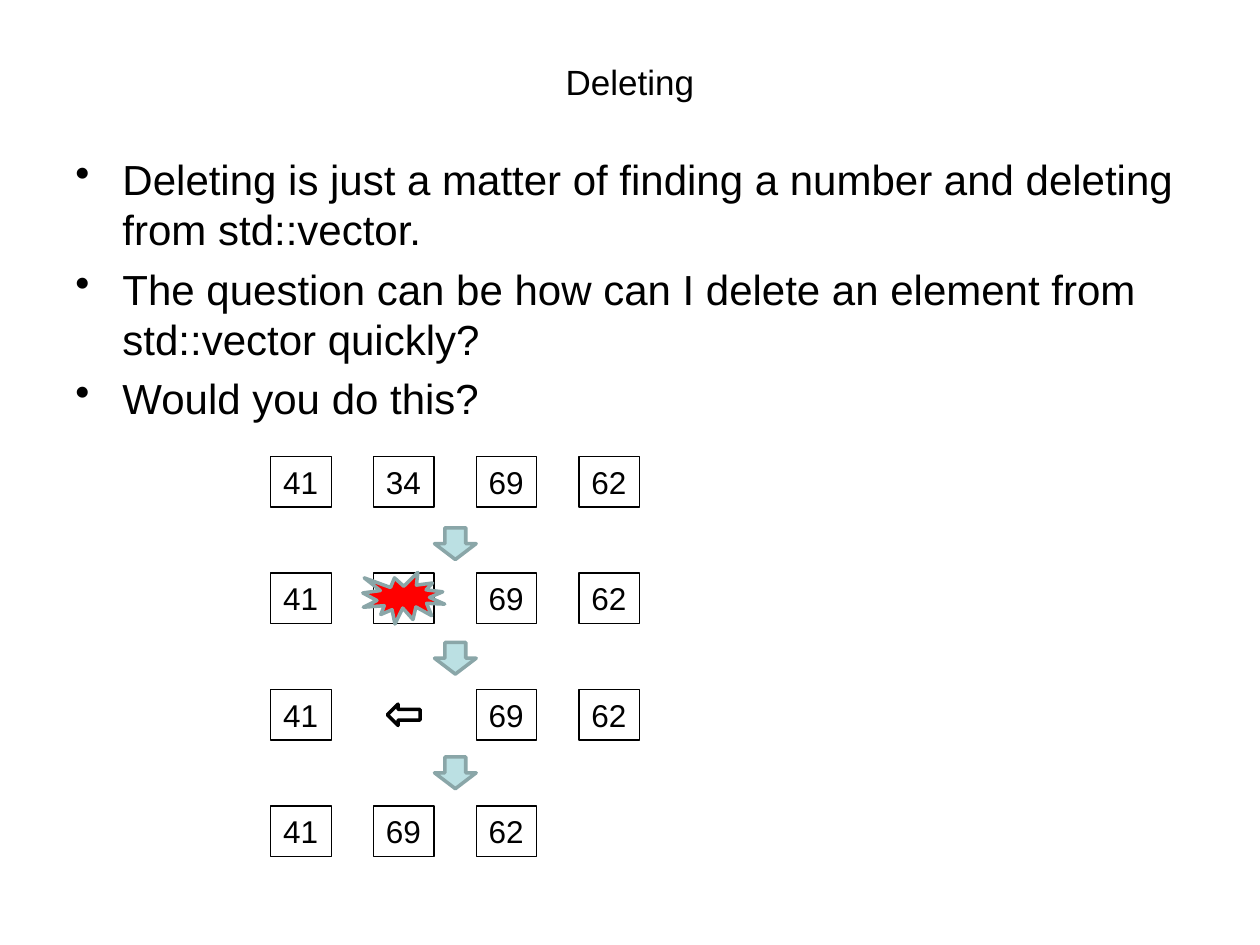
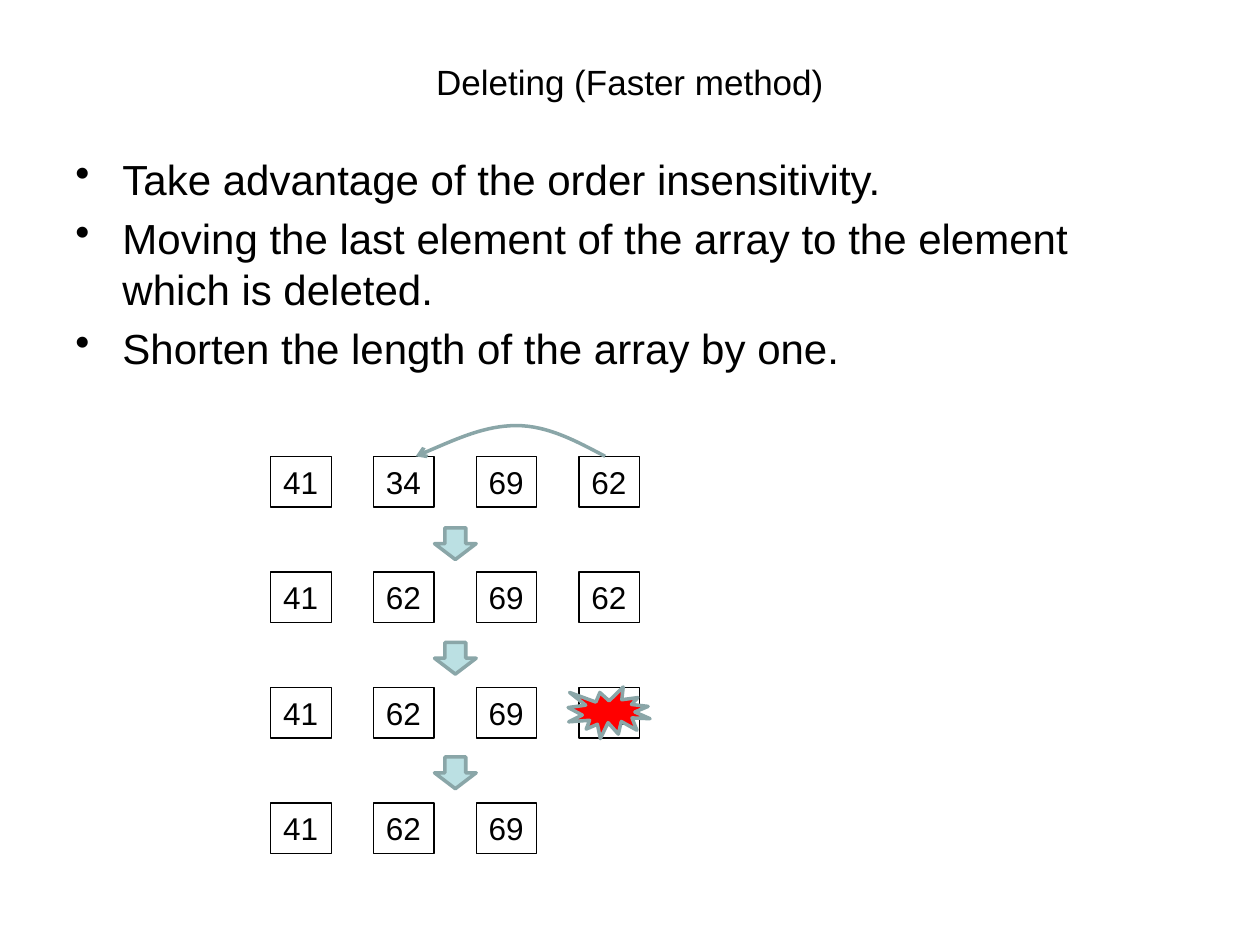
from lxml.etree import SubElement
from pptx import Presentation
from pptx.dml.color import RGBColor
from pptx.enum.shapes import MSO_SHAPE
from pptx.enum.text import MSO_ANCHOR, MSO_AUTO_SIZE, PP_ALIGN
from pptx.oxml.ns import qn
from pptx.util import Cm, Pt

FONT = "Arial"
BLACK, RED, PALE_BLUE, GREY_BLUE = "000000", "FF0000", "BBE0E3", "8AA6A8"

# All lengths are centimetres; boxes are left, top, width, height.
SLIDE_SIZE = (25.4, 19.05)
TITLE_BOX = (1.27, 0.76, 22.86, 1.78)
BODY_BOX = (1.27, 2.97, 22.86, 14.05)
BULLET_INDENT = 0.95
CELL_LEFT, CELL_TOP, CELL_STEP = 5.46, 9.2, 2.07
CELL_SIZE = (1.22, 1.02)
BURST_SIZE = (1.65, 1.04)
SHIFT_SIZE = (0.66, 0.43)
STEP_LEFT, STEP_TOP, STEP_PITCH = 8.76, 10.64, 2.31
STEP_SIZE = (0.84, 0.64)

# Start point, then two Bezier segments of three points each.
MOVE_CURVE = [(12.2, 9.2),
              (11.63, 8.9), (11.05, 8.58), (10.41, 8.58),
              (9.78, 8.58), (9.09, 8.9), (8.38, 9.2)]

# "deleted" and "shifted" are (row, column) positions in the array rows.
SLIDES = [
    {"title": "Deleting",
     "bullets": [
         "Deleting is just a matter of finding a number and deleting from std::vector.",
         "The question can be how can I delete an element from std::vector quickly?",
         "Would you do this?"],
     "rows": [(41, 34, 69, 62), (41, 34, 69, 62), (41, None, 69, 62), (41, 69, 62)],
     "row_pitch": 2.35, "deleted": (1, 1), "shifted": (2, 1), "curve": None},
    {"title": "Deleting (Faster method)",
     "bullets": [
         "Take advantage of the order insensitivity.",
         "Moving the last element of the array to the element which is deleted.",
         "Shorten the length of the array by one."],
     "rows": [(41, 34, 69, 62), (41, 62, 69, 62), (41, 62, 69, 62), (41, 62, 69)],
     "row_pitch": 2.33, "deleted": (2, 3), "shifted": None, "curve": MOVE_CURVE},
]


def rgb(color):
    """Turn a hex string into a colour."""
    return RGBColor.from_string(color)


def lengths(values):
    """Turn centimetre numbers into lengths."""
    return [Cm(value) for value in values]


def style_font(paragraph, size):
    """Give a paragraph the shared font in black."""
    paragraph.font.name = FONT
    paragraph.font.size = Pt(size)
    paragraph.font.color.rgb = rgb(BLACK)


def style_shape(shape, fill, line, width):
    """Set fill (None for empty) and outline, without shadow."""
    shape.shadow.inherit = False
    if fill:
        shape.fill.solid()
        shape.fill.fore_color.rgb = rgb(fill)
    else:
        shape.fill.background()
    shape.line.color.rgb = rgb(line)
    shape.line.width = Pt(width)


def add_preset(slide, kind, box, fill=None, line=BLACK, width=2):
    """Add a styled preset shape."""
    shape = slide.shapes.add_shape(kind, *lengths(box))
    style_shape(shape, fill, line, width)
    return shape


def add_title(slide, text):
    """Place and fill the title placeholder."""
    title = slide.shapes.title
    title.left, title.top, title.width, title.height = lengths(TITLE_BOX)
    title.text_frame.vertical_anchor = MSO_ANCHOR.MIDDLE
    title.text_frame.text = text
    paragraph = title.text_frame.paragraphs[0]
    paragraph.alignment = PP_ALIGN.CENTER
    style_font(paragraph, 20)


def add_bullets(slide, bullets):
    """Add the bulleted body text."""
    frame = slide.shapes.add_textbox(*lengths(BODY_BOX)).text_frame
    frame.word_wrap = True
    for index, text in enumerate(bullets):
        paragraph = frame.add_paragraph() if index else frame.paragraphs[0]
        paragraph.text = text
        paragraph.space_before = Pt(5)
        style_font(paragraph, 24)
        properties = paragraph._p.get_or_add_pPr()
        properties.set("marL", str(Cm(BULLET_INDENT)))
        properties.set("indent", str(-Cm(BULLET_INDENT)))
        bullet = properties.makeelement(qn("a:buChar"), {"char": "\u2022"})
        properties.find(qn("a:spcBef")).addnext(bullet)


def cell_box(row, column, pitch, size=CELL_SIZE):
    """Return a box of the given size centred on an array cell."""
    left = CELL_LEFT + column * CELL_STEP + (CELL_SIZE[0] - size[0]) / 2
    top = CELL_TOP + row * pitch + (CELL_SIZE[1] - size[1]) / 2
    return (left, top, *size)


def add_cell(slide, box, number):
    """Add one outlined array cell."""
    cell = add_preset(slide, MSO_SHAPE.RECTANGLE, box, width=0.75)
    frame = cell.text_frame
    frame.word_wrap = False
    frame.auto_size = MSO_AUTO_SIZE.SHAPE_TO_FIT_TEXT
    frame.vertical_anchor = MSO_ANCHOR.TOP
    paragraph = frame.paragraphs[0]
    paragraph.text = str(number)
    paragraph.alignment = PP_ALIGN.LEFT
    style_font(paragraph, 18)


def add_curve(slide, points):
    """Draw a Bezier arrow through the given start and control points."""
    start, *controls = [lengths(point) for point in points]
    builder = slide.shapes.build_freeform(*start)
    builder.add_line_segments(controls, close=False)
    curve = builder.convert_to_shape()
    style_shape(curve, None, GREY_BLUE, 2)
    outline = curve._element.xpath(".//a:path")[0]
    corners = outline.findall(qn("a:lnTo"))
    for first in range(0, len(corners), 3):
        segment = SubElement(outline, qn("a:cubicBezTo"))
        for corner in corners[first:first + 3]:
            segment.append(corner[0])
            outline.remove(corner)
    SubElement(curve.line._get_or_add_ln(), qn("a:tailEnd"), type="arrow")


def add_array_steps(slide, content):
    """Draw the array after each step, with its marks and step arrows."""
    rows, pitch = content["rows"], content["row_pitch"]
    for row, numbers in enumerate(rows):
        for column, number in enumerate(numbers):
            if number is not None:
                add_cell(slide, cell_box(row, column, pitch), number)
    add_preset(slide, MSO_SHAPE.EXPLOSION1,
               cell_box(*content["deleted"], pitch, BURST_SIZE), RED, GREY_BLUE)
    if content["shifted"]:
        add_preset(slide, MSO_SHAPE.LEFT_ARROW,
                   cell_box(*content["shifted"], pitch, SHIFT_SIZE))
    if content["curve"]:
        add_curve(slide, content["curve"])
    for step in range(len(rows) - 1):
        box = (STEP_LEFT, STEP_TOP + step * STEP_PITCH, *STEP_SIZE)
        add_preset(slide, MSO_SHAPE.DOWN_ARROW, box, PALE_BLUE, GREY_BLUE)


presentation = Presentation()
presentation.slide_width, presentation.slide_height = lengths(SLIDE_SIZE)
title_only = presentation.slide_layouts[5]
for content in SLIDES:
    slide = presentation.slides.add_slide(title_only)
    add_title(slide, content["title"])
    add_bullets(slide, content["bullets"])
    add_array_steps(slide, content)
presentation.save("out.pptx")
